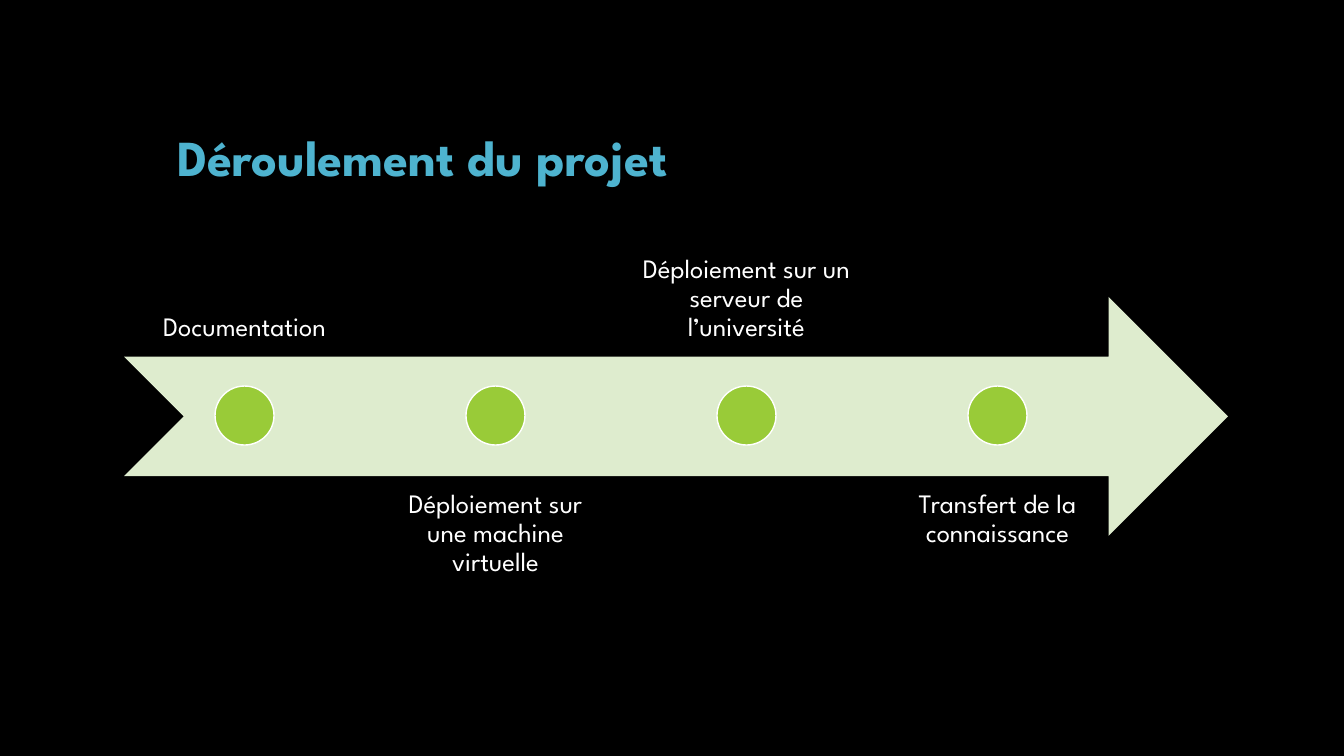
from pptx import Presentation
from pptx import util as u
from pptx.dml.color import RGBColor
from pptx.enum import shapes, text

PX = 9144000 / 1008


def px(*lengths):
    return [u.Emu(round(n * PX)) for n in lengths]


def write(frame, words, size, colour, bold=False, align=text.PP_ALIGN.LEFT,
          anchor=text.MSO_ANCHOR.BOTTOM, inset=None):
    frame.word_wrap = True
    frame.auto_size = text.MSO_AUTO_SIZE.NONE
    frame.vertical_anchor = anchor
    if inset is not None:
        frame.margin_left, frame.margin_top, frame.margin_right, frame.margin_bottom = px(*[inset] * 4)
    paragraph = frame.paragraphs[0]
    paragraph.alignment = align
    paragraph.line_spacing = 0.9
    run = paragraph.add_run()
    run.text = words
    run.font.name = "League Spartan"
    run.font.size = u.Pt(size)
    run.font.bold = bold
    run.font.color.rgb = RGBColor.from_string(colour)


deck = Presentation()
deck.slide_width, deck.slide_height = px(1344, 756)
slide = deck.slides.add_slide(deck.slide_layouts[5])
slide.background.fill.solid()
slide.background.fill.fore_color.rgb = RGBColor.from_string("000000")

heading = slide.shapes.title
heading.left, heading.top, heading.width, heading.height = px(167, 42, 1008, 151)
write(heading.text_frame, "Déroulement du projet", 36, "4EB3CF", bold=True)

timeline = slide.shapes.add_shape(shapes.MSO_SHAPE.NOTCHED_RIGHT_ARROW, *px(124, 297, 1104, 239))
timeline.shadow.inherit = False
timeline.fill.solid()
timeline.fill.fore_color.rgb = RGBColor.from_string("DEECCE")
timeline.line.fill.background()

steps = [
    "Documentation",
    "Déploiement sur une machine virtuelle",
    "Déploiement sur un serveur de l’université",
    "Transfert de la connaissance",
]
STEP_WIDTH, STEP_PITCH, DOT = 239, 251, 59
for i, step in enumerate(steps):
    left = 125 + i * STEP_PITCH
    above = i % 2 == 0
    label = slide.shapes.add_textbox(*px(left, 118 if above else 476, STEP_WIDTH, STEP_WIDTH))
    write(label.text_frame, step, 19, "FFFFFF", align=text.PP_ALIGN.CENTER, inset=15,
          anchor=text.MSO_ANCHOR.BOTTOM if above else text.MSO_ANCHOR.TOP)

    milestone = slide.shapes.add_shape(
        shapes.MSO_SHAPE.OVAL, *px(left + (STEP_WIDTH - DOT) // 2, 386, DOT, DOT))
    milestone.shadow.inherit = False
    milestone.fill.solid()
    milestone.fill.fore_color.rgb = RGBColor.from_string("99CB38")
    milestone.line.color.rgb = RGBColor.from_string("FFFFFF")
    milestone.line.width = u.Pt(1)

deck.save("out.pptx")
